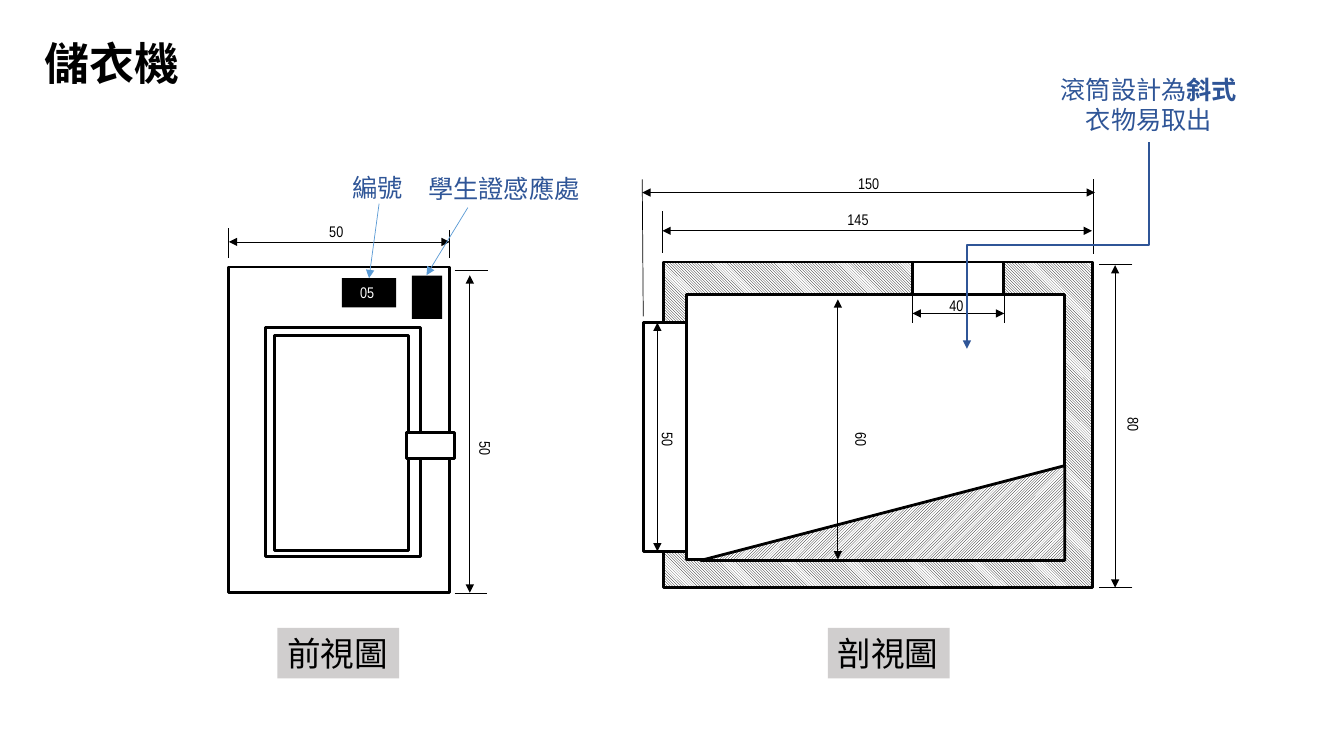
from lxml import etree
from pptx import Presentation
from pptx.dml.color import RGBColor
from pptx.enum.dml import MSO_PATTERN
from pptx.enum.shapes import MSO_CONNECTOR, MSO_SHAPE
from pptx.enum.text import MSO_ANCHOR, PP_ALIGN
from pptx.oxml.ns import qn
from pptx.util import Inches, Pt

RECTANGLE, TRIANGLE = MSO_SHAPE.RECTANGLE, MSO_SHAPE.RIGHT_TRIANGLE
STRAIGHT, ELBOW = MSO_CONNECTOR.STRAIGHT, MSO_CONNECTOR.ELBOW
DOWN_HATCH, UP_HATCH = MSO_PATTERN.LIGHT_DOWNWARD_DIAGONAL, MSO_PATTERN.LIGHT_UPWARD_DIAGONAL
LEFT, CENTER = PP_ALIGN.LEFT, PP_ALIGN.CENTER
MIDDLE = MSO_ANCHOR.MIDDLE
CELL = Inches(0.1)
BLACK, WHITE, GRAY = "000000", "FFFFFF", "D0CECE"
NAVY, BLUE = "2F5597", "5B9BD5"
NARROW, HEADING, CJK = "Arial Narrow", "Noto Sans CJK JP", "Noto Sans CJK SC"


def color(value):
    """Turn a hex string into a colour."""
    return RGBColor.from_string(value)


def place(origin, box):
    """Convert a box in grid cells, relative to an origin, to slide lengths."""
    left, top, width, height = box
    cells = (origin[0] + left, origin[1] + top, width, height)
    return [round(cell * CELL) for cell in cells]


def write(shape, lines, size, font, ink=BLACK, align=LEFT, bold=False, wrap=False):
    """Fill a shape with paragraphs given as lists of (text, bold) spans."""
    frame = shape.text_frame
    frame.word_wrap = wrap
    frame.vertical_anchor = MIDDLE
    for index, spans in enumerate(lines):
        para = frame.add_paragraph() if index else frame.paragraphs[0]
        para.alignment = align
        para.font.size, para.font.name, para.font.bold = Pt(size), font, bold
        para.font.color.rgb = color(ink)
        defaults = para._p.get_or_add_pPr().find(qn("a:defRPr"))
        etree.SubElement(defaults, qn("a:ea"), typeface=font)
        for text, strong in spans:
            span = para.add_run()
            span.text = text
            if strong:
                span.font.bold = True


def add_text(page, origin, box, lines, size, font, **style):
    """Add a text box."""
    shape = page.shapes.add_textbox(*place(origin, box))
    write(shape, lines, size, font, **style)
    return shape


def add_block(page, origin, box, fill=WHITE, line=2, hatch=None, kind=RECTANGLE):
    """Add a filled or hatched outline shape."""
    shape = page.shapes.add_shape(kind, *place(origin, box))
    shape.shadow.inherit = False
    if hatch:
        shape.fill.patterned()
        shape.fill.pattern = hatch
        shape.fill.fore_color.rgb = color(BLACK)
        shape.fill.back_color.rgb = color(WHITE)
    else:
        shape.fill.solid()
        shape.fill.fore_color.rgb = color(fill)
    if line:
        shape.line.color.rgb = color(BLACK)
        shape.line.width = Pt(line)
    else:
        shape.line.fill.background()
    return shape


def add_line(page, origin, points, ink=BLACK, width=0.5, ends=(), kind=STRAIGHT):
    """Add a connector between two grid points, with the named arrowheads."""
    x1, y1, x2, y2 = points
    start, end = place(origin, (x1, y1, 0, 0))[:2], place(origin, (x2, y2, 0, 0))[:2]
    connector = page.shapes.add_connector(kind, *start, *end)
    connector.line.color.rgb = color(ink)
    connector.line.width = Pt(width)
    properties = connector._element.spPr
    for end_name in ends:
        etree.SubElement(properties.find(qn("a:ln")), qn(f"a:{end_name}"), type="triangle")
    etree.SubElement(properties, qn("a:effectLst"))
    return connector


def add_dimension(page, origin, points, value, shift):
    """Add a double arrow with its value shifted from the midpoint."""
    add_line(page, origin, points, ends=("headEnd", "tailEnd"))
    x1, y1, x2, y2 = points
    width, height = 4.2, 2.9
    left = (x1 + x2 - width) / 2 + shift[0]
    top = (y1 + y2 - height) / 2 + shift[1]
    label = add_text(page, origin, (left, top, width, height),
                     [[(value, False)]], 11, NARROW, align=CENTER)
    if x1 == x2:
        label.rotation = 90


def add_caption(page, origin, corner, text):
    """Add the grey name plate under a view."""
    plate = add_block(page, origin, (*corner, 12.1, 5), GRAY, line=0)
    write(plate, [[(text, False)]], 24, CJK)


def add_title(page, box, text):
    """Place and fill the title placeholder."""
    title = page.shapes.title
    title.left, title.top, title.width, title.height = place((0, 0), box)
    write(title, [[(text, False)]], 32, HEADING, bold=True)


def front_view(page, box):
    """Draw the front of the machine with its dimensions and callouts."""
    origin, (width, height) = box[:2], box[2:]
    add_block(page, origin, (0, 0, width, height))
    add_block(page, origin, (3.6, 6, 15.4, 22.7))
    add_block(page, origin, (4.5, 6.8, 13.3, 21.3))
    add_block(page, origin, (17.6, 16.4, 4.8, 2.6), line=1.75)
    number = add_block(page, origin, (11.2, 1.1, 5.4, 2.9), BLACK, line=0)
    write(number, [[("05 ", False)]], 11, NARROW, ink=WHITE, align=CENTER, wrap=True)
    add_block(page, origin, (18.15, 0.85, 3, 4.3), BLACK, line=0)
    for points in ((0, -0.9, 0, -3.9), (width, -0.9, width, -3.7),
                   (22.4, 0.3, 25.7, 0.3), (22.4, 32.4, 25.6, 32.4)):
        add_line(page, origin, points)
    add_dimension(page, origin, (0, -2.5, width, -2.5), "50", (-0.3, -1.05))
    add_dimension(page, origin, (23.9, 0.8, 23.9, height), "50", (1.55, 1.4))
    for text, corner, arrow in (
            ("學生證感應處", (18.8, -9.8), (23.7, -5.9, 19.6, 0.8)),
            ("編號", (11.3, -9.9), (14.9, -6.3, 13.9, 1.1))):
        add_text(page, origin, (*corner, 24.7, 4), [[(text, False)]], 18, CJK,
                 ink=NAVY, wrap=True)
        add_line(page, origin, arrow, BLUE, ends=("tailEnd",))
    add_caption(page, origin, (4.8, 35.8), "前視圖")


def section_view(page, box):
    """Draw the cut through the machine with its dimensions and callout."""
    origin, (width, height) = box[:2], box[2:]
    add_block(page, origin, (0, 0, width, height), hatch=DOWN_HATCH)
    add_block(page, origin, (2.3, 3.2, 37.5, 26.3))
    add_block(page, origin, (24.7, 0, 9, 3.2))
    add_block(page, origin, (-2, 6, 4.3, 22.7))
    slope = add_block(page, origin, (3.7, 20.2, 36.1, 9.4), hatch=UP_HATCH, kind=TRIANGLE)
    slope._element.spPr.find(qn("a:xfrm")).set("flipH", "1")
    for points in ((-2, 5.4, -2.1, -8.2), (width, -0.8, width, -8.2),
                   (-0.1, -0.9, -0.1, -5.1), (33.8, 1.6, 33.8, 6),
                   (24.7, 1.6, 24.7, 6), (46.5, 0.2, 43.2, 0.2),
                   (46.5, height, 43.2, height)):
        add_line(page, origin, points)
    for points, value, shift in (
            ((-0.1, -3.1, 42.5, -3.1), "145", (-1.9, -1.15)),
            ((-2.1, -6.9, 42.8, -6.9), "150", (0, -0.95)),
            ((24.7, 5.1, 33.8, 5.1), "40", (-0.2, -0.85)),
            ((44.8, 0.3, 44.8, height), "80", (1.85, -0.15)),
            ((17.3, 3.7, 17.3, 29.5), "60", (2.35, 1.05)),
            ((-0.6, 6, -0.6, 28.7), "50", (1.05, 0.3))):
        add_dimension(page, origin, points, value, shift)
    pointer = add_line(page, origin, (28.9, -10.7, 49.4, 7.4), NAVY, 1.5, ("tailEnd",), ELBOW)
    pointer._element.spPr.find(qn("a:xfrm")).set("rot", str(90 * 60000))
    add_text(page, origin, (35.8, -19.2, 24.7, 7.1),
             [[("滾筒設計為", False), ("斜式", True)], [("衣物易取出", False)]],
             18, CJK, ink=NAVY, align=CENTER, wrap=True)
    add_caption(page, origin, (16.3, 36.3), "剖視圖")


def main():
    """Build the slide and save it."""
    deck = Presentation()
    deck.slide_width, deck.slide_height = Inches(13.33), Inches(7.5)
    page = deck.slides.add_slide(deck.slide_layouts[5])
    add_title(page, (3.4, 3, 15.5, 6.4), "儲衣機")
    front_view(page, (22.7, 26.5, 21.9, 32.3))
    section_view(page, (65.8, 26, 42.6, 32.3))
    deck.save("out.pptx")


if __name__ == "__main__":
    main()
